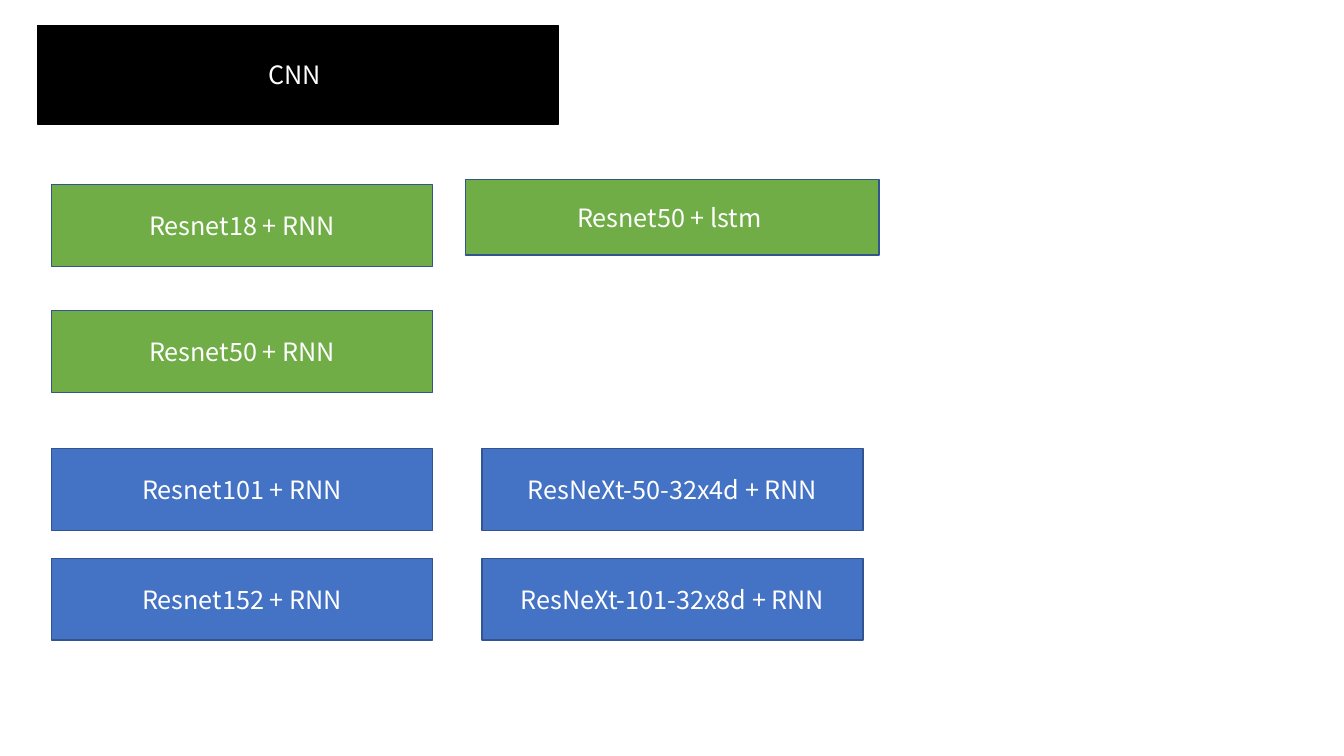
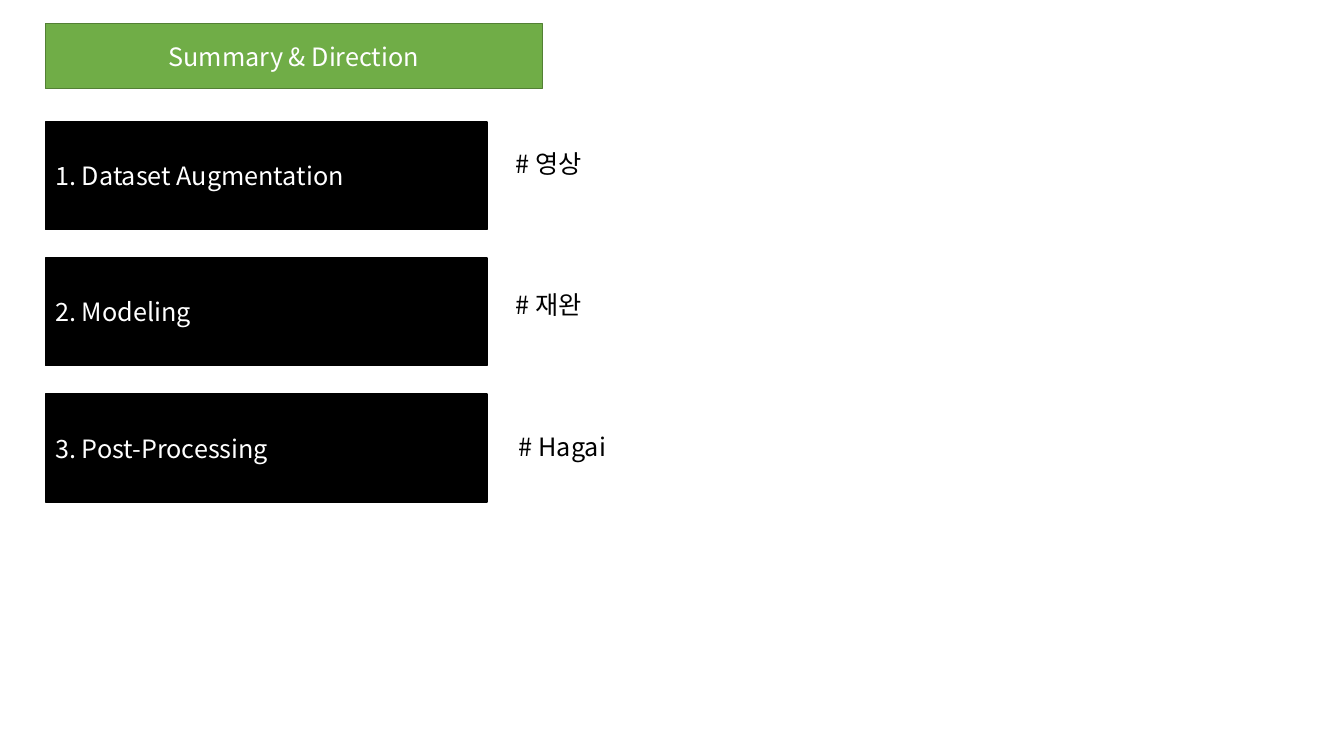
from dataclasses import dataclass

from lxml import etree
from pptx import Presentation
from pptx.dml.color import RGBColor
from pptx.enum.shapes import MSO_SHAPE
from pptx.enum.text import MSO_ANCHOR, MSO_AUTO_SIZE, PP_ALIGN
from pptx.oxml.ns import qn
from pptx.presentation import Presentation as Deck
from pptx.shapes.base import BaseShape
from pptx.slide import Slide
from pptx.util import Pt

RECTANGLE = MSO_SHAPE.RECTANGLE
LEFT, CENTER = PP_ALIGN.LEFT, PP_ALIGN.CENTER
MIDDLE, TOP = MSO_ANCHOR.MIDDLE, MSO_ANCHOR.TOP
NO_FIT, GROW = MSO_AUTO_SIZE.NONE, MSO_AUTO_SIZE.SHAPE_TO_FIT_TEXT

FONT = "Noto Sans CJK KR"
FONT_SIZE = 18
TITLE_ONLY_LAYOUT = 5
COLORS = {
    "black": "000000",
    "white": "FFFFFF",
    "green": "70AD47",
    "dark_green": "538035",
    "blue": "4472C4",
    "dark_blue": "325491",
}


@dataclass(frozen=True)
class Area:
    left: float
    top: float
    width: float
    height: float


@dataclass(frozen=True)
class Box:
    text: str
    area: Area
    fill: str
    line: str
    align: PP_ALIGN = CENTER


def color(name: str) -> RGBColor:
    return RGBColor.from_string(COLORS[name])


def set_text(shape: BaseShape, text: str, text_color: str, align: PP_ALIGN) -> None:
    frame = shape.text_frame
    frame.word_wrap = True
    frame.text = text
    para = frame.paragraphs[0]
    para.alignment = align
    span = para.runs[0]
    span.font.name = FONT
    span.font.size = Pt(FONT_SIZE)
    span.font.color.rgb = color(text_color)
    east_asian = etree.SubElement(span.font._element, qn("a:ea"))
    east_asian.set("typeface", FONT)


def style_box(shape: BaseShape, box: Box) -> None:
    shape.fill.solid()
    shape.fill.fore_color.rgb = color(box.fill)
    shape.line.color.rgb = color(box.line)
    shape.line.width = Pt(1)
    set_text(shape, box.text, "white", box.align)
    shape.text_frame.vertical_anchor = MIDDLE
    shape.text_frame.auto_size = NO_FIT


def add_titled_slide(deck: Deck, box: Box, geometry: str) -> Slide:
    """Add a slide whose title placeholder is a filled box of the preset geometry."""
    slide = deck.slides.add_slide(deck.slide_layouts[TITLE_ONLY_LAYOUT])
    title = slide.shapes.title
    area = box.area
    title.left, title.top = Pt(area.left), Pt(area.top)
    title.width, title.height = Pt(area.width), Pt(area.height)
    preset = etree.SubElement(title._element.spPr, qn("a:prstGeom"), prst=geometry)
    etree.SubElement(preset, qn("a:avLst"))
    style_box(title, box)
    return slide


def add_box(slide: Slide, box: Box) -> None:
    area = box.area
    shape = slide.shapes.add_shape(
        RECTANGLE, Pt(area.left), Pt(area.top), Pt(area.width), Pt(area.height)
    )
    shape.shadow.inherit = False
    style_box(shape, box)


def add_note(slide: Slide, text: str, area: Area) -> None:
    note = slide.shapes.add_textbox(
        Pt(area.left), Pt(area.top), Pt(area.width), Pt(area.height)
    )
    set_text(note, text, "black", LEFT)
    note.text_frame.vertical_anchor = TOP
    note.text_frame.auto_size = GROW


def build_models(deck: Deck) -> None:
    title = Box("CNN ", Area(26.6, 18, 372.2, 70.6), "black", "black")
    slide = add_titled_slide(deck, title, "roundRect")

    columns = (36.7, 344.2)
    rows = (
        (131.8, "green", ("Resnet18 + RNN",)),
        (221.8, "green", ("Resnet50 + RNN",)),
        (320.4, "blue", ("Resnet101 + RNN", "ResNeXt-50-32x4d + RNN")),
        (398.9, "blue", ("Resnet152 + RNN", "ResNeXt-101-32x8d + RNN")),
    )
    for top, fill, models in rows:
        for left, model in zip(columns, models):
            add_box(slide, Box(model, Area(left, top, 272.2, 58.4), fill, "dark_blue"))

    lstm_area = Area(332.6, 128.2, 295.2, 54)
    add_box(slide, Box("Resnet50 + lstm ", lstm_area, "green", "dark_blue"))


def build_summary(deck: Deck) -> None:
    title = Box("Summary & Direction", Area(32.4, 16.6, 355, 46.8), "green", "dark_green")
    slide = add_titled_slide(deck, title, "rect")

    tasks = (
        ("1. Dataset Augmentation", "# 영상", 361.4),
        ("2. Modeling", "# 재완", 361.4),
        ("3. Post-Processing", "# Hagai", 363.6),
    )
    for index, (task, owner, owner_left) in enumerate(tasks):
        task_area = Area(32.4, 87.1 + 97.2 * index, 315.4, 77)
        add_box(slide, Box(task, task_area, "black", "black", LEFT))
        add_note(slide, owner, Area(owner_left, 102.2 + 101.2 * index, 265, 28.8))


def main() -> None:
    deck = Presentation()
    deck.slide_width, deck.slide_height = Pt(960), Pt(540)
    build_models(deck)
    build_summary(deck)
    deck.save("out.pptx")


if __name__ == "__main__":
    main()
